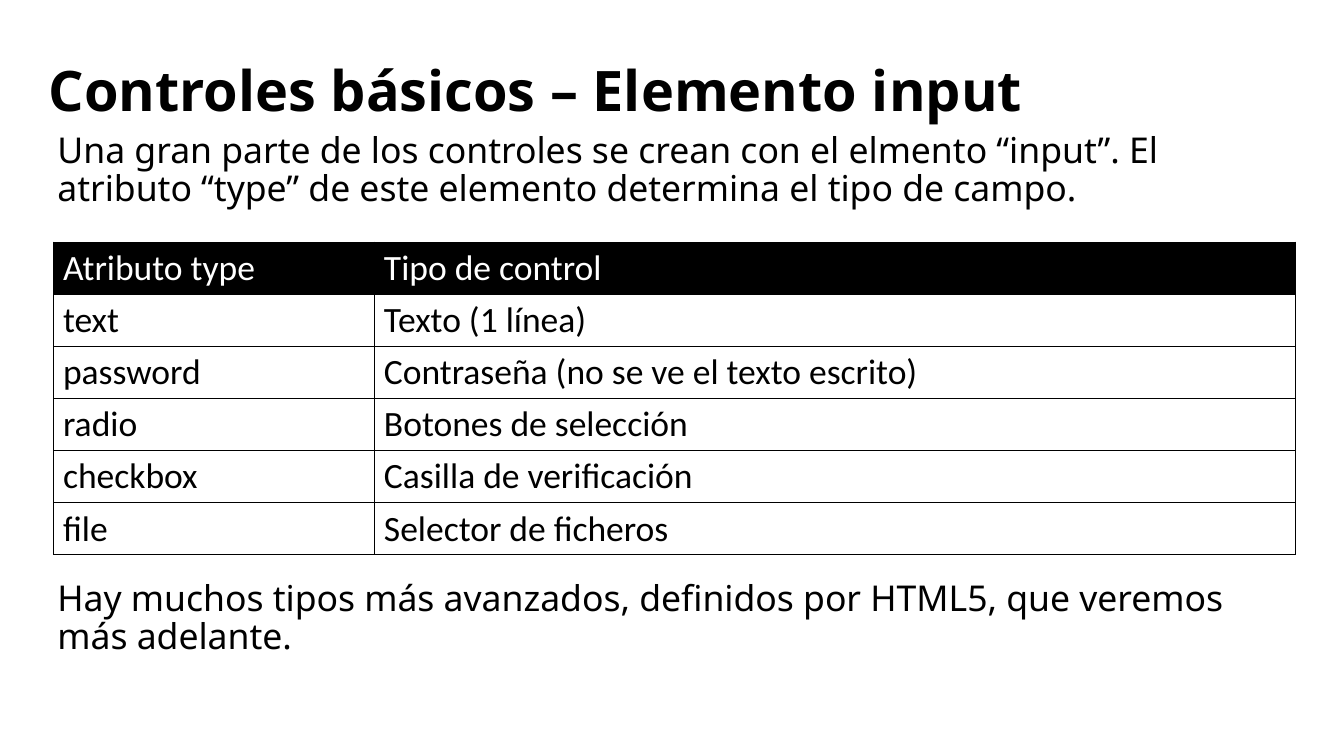
import pptx
import pptx.util
import pptx.dml.color
import pptx.enum.text
from lxml import etree
from pptx.oxml.ns import qn

Inches = pptx.util.Inches
Pt = pptx.util.Pt

SLIDE_SIZE = (14.7, 8.27)
BLACK, WHITE = "000000", "FFFFFF"

HEADING = "Controles básicos – Elemento input"
HEADING_BOX = (0.53, 0.28, 13.71, 1.48)

PASSAGES = [
    ("Una gran parte de los controles se crean con el elmento “input”. "
     "El atributo “type” de este elemento determina el tipo de campo.",
     (0.53, 1.4, 13.64, 1.2)),
    ("Hay muchos tipos más avanzados, definidos por HTML5, que veremos más adelante.",
     (0.53, 6.3, 13.64, 1.03)),
]

INPUT_TYPES = [
    ("Atributo type", "Tipo de control"),
    ("text", "Texto (1 línea)"),
    ("password", "Contraseña (no se ve el texto escrito)"),
    ("radio", "Botones de selección"),
    ("checkbox", "Casilla de verificación"),
    ("file", "Selector de ficheros"),
]
TABLE_AT = (0.59, 2.65)
COLUMN_WIDTHS = (3.51, 10.07)
ROW_HEIGHT = 0.57
BORDER_WIDTH = 0.96


def rgb(value):
    return pptx.dml.color.RGBColor.from_string(value)


def write(frame, text, font="Noto Sans", size=28, color=BLACK, bold=False,
          line_spacing=None, space=0):
    paragraph = frame.paragraphs[0]
    paragraph.alignment = pptx.enum.text.PP_ALIGN.LEFT
    paragraph.space_before = paragraph.space_after = Pt(space)
    if line_spacing:
        paragraph.line_spacing = line_spacing
    run = paragraph.add_run()
    run.text = text
    run.font.name = font
    run.font.size = Pt(size)
    run.font.bold = bold
    run.font.color.rgb = rgb(color)


def add_borders(cell):
    properties = cell._tc.get_or_add_tcPr()
    for position, side in enumerate(("a:lnL", "a:lnR", "a:lnT", "a:lnB")):
        border = etree.Element(qn(side), w=str(int(Pt(BORDER_WIDTH))))
        fill = etree.SubElement(border, qn("a:solidFill"))
        etree.SubElement(fill, qn("a:srgbClr"), val=BLACK)
        properties.insert(position, border)


def add_heading(slide):
    heading = slide.shapes.title
    heading.left, heading.top, heading.width, heading.height = map(Inches, HEADING_BOX)
    frame = heading.text_frame
    frame.margin_left = frame.margin_right = frame.margin_top = frame.margin_bottom = 0
    frame.vertical_anchor = pptx.enum.text.MSO_ANCHOR.MIDDLE
    frame.auto_size = pptx.enum.text.MSO_AUTO_SIZE.NONE
    frame.word_wrap = True
    write(frame, HEADING, size=44, bold=True, line_spacing=0.9)


def add_passage(slide, text, box):
    frame = slide.shapes.add_textbox(*map(Inches, box)).text_frame
    frame.word_wrap = True
    write(frame, text, line_spacing=0.9, space=6)


def add_input_types(slide):
    table = slide.shapes.add_table(
        len(INPUT_TYPES), len(COLUMN_WIDTHS), *map(Inches, TABLE_AT),
        Inches(sum(COLUMN_WIDTHS)), Inches(ROW_HEIGHT * len(INPUT_TYPES))).table
    table.first_row = table.horz_banding = False
    for column, width in zip(table.columns, COLUMN_WIDTHS):
        column.width = Inches(width)
    for r, entries in enumerate(INPUT_TYPES):
        table.rows[r].height = Inches(ROW_HEIGHT)
        background, ink = (BLACK, WHITE) if r == 0 else (WHITE, BLACK)
        for c, entry in enumerate(entries):
            cell = table.cell(r, c)
            cell.fill.solid()
            cell.fill.fore_color.rgb = rgb(background)
            add_borders(cell)
            write(cell.text_frame, entry, font="Calibri", color=ink)


def main():
    deck = pptx.Presentation()
    deck.slide_width, deck.slide_height = map(Inches, SLIDE_SIZE)
    slide = deck.slides.add_slide(deck.slide_layouts[5])
    add_heading(slide)
    for text, box in PASSAGES:
        add_passage(slide, text, box)
    add_input_types(slide)
    deck.save("out.pptx")


if __name__ == "__main__":
    main()
